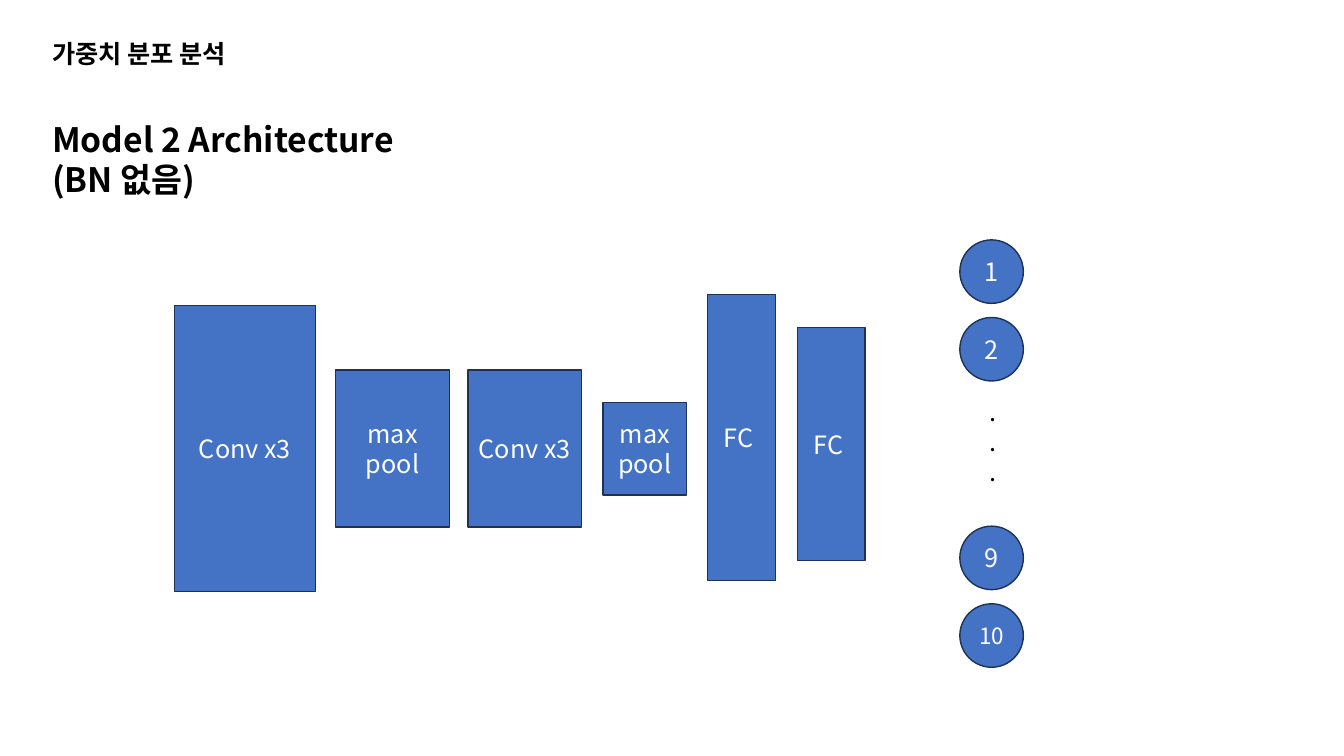
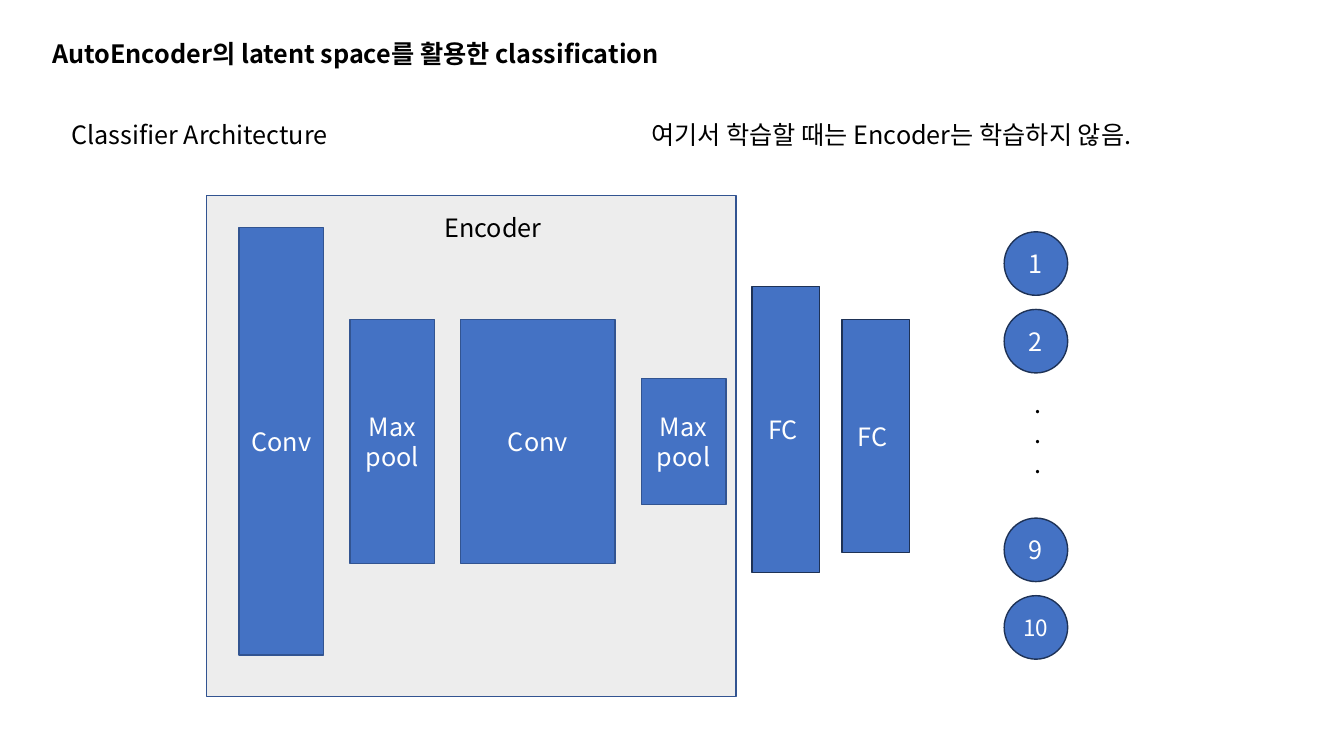
from lxml import etree
from pptx import Presentation
from pptx import util as u
from pptx.dml.color import RGBColor
from pptx.enum import shapes, text
from pptx.oxml import ns

FONT = "Noto Sans CJK KR"
BLACK = RGBColor(0x00, 0x00, 0x00)
WHITE = RGBColor(0xFF, 0xFF, 0xFF)
BLUE = RGBColor(0x44, 0x72, 0xC4)
NAVY = RGBColor(0x1E, 0x32, 0x56)
STEEL = RGBColor(0x32, 0x54, 0x91)
GREY = RGBColor(0xED, 0xED, 0xED)
RECT = shapes.MSO_SHAPE.RECTANGLE
OVAL = shapes.MSO_SHAPE.OVAL


def write(tf, lines, color, size=18, bold=False, align=None):
    """Fill a text frame with one paragraph per line."""
    for i, line in enumerate(lines):
        p = tf.add_paragraph() if i else tf.paragraphs[0]
        p.alignment = align
        r = p.add_run()
        r.text = line
        fmt = {"name": FONT, "size": u.Pt(size), "bold": bold}
        for key, value in fmt.items():
            setattr(r.font, key, value)
        r.font.color.rgb = color
        ea = etree.SubElement(r.font._element, ns.qn("a:ea"))
        ea.set("typeface", FONT)


def add_text(s, box, *lines, size=18, bold=False):
    """Add a wrapped black text box."""
    tf = s.shapes.add_textbox(*map(u.Inches, box)).text_frame
    tf.word_wrap = True
    tf.auto_size = text.MSO_AUTO_SIZE.SHAPE_TO_FIT_TEXT
    write(tf, lines, BLACK, size, bold)


def add_block(s, kind, box, label="", line=NAVY, fill=BLUE, size=18):
    """Add an outlined shape with a centred white label."""
    sp = s.shapes.add_shape(kind, *map(u.Inches, box))
    sp.shadow.inherit = False
    sp.fill.solid()
    sp.fill.fore_color.rgb = fill
    sp.line.color.rgb = line
    sp.line.width = u.Pt(1)
    if label:
        tf = sp.text_frame
        tf.word_wrap = True
        tf.vertical_anchor = text.MSO_ANCHOR.MIDDLE
        write(tf, [label], WHITE, size, align=text.PP_ALIGN.CENTER)


def add_title(s, title):
    """Place the slide title."""
    add_text(s, (0.42, 0.33, 9.79, 0.4), title, bold=True)


def add_layers(s, left, middle, layers, line):
    """Lay layers left to right, centred on one height, each after its gap."""
    for gap, label, width, height in layers:
        left += gap
        add_block(s, RECT, (left, middle - height / 2, width, height), label, line)
        left += width


def add_classifier(s, left, top):
    """Place the two FC layers and the column of output classes."""
    for x, y, height in ((0, 0.54, 2.84), (0.89, 0.87, 2.31)):
        add_block(s, RECT, (left + x, top + y, 0.67, height), "FC ")
    for label, y, size in (("1", 0, 18), ("2", 0.77, 18), ("9", 2.84, 18), ("10", 3.61, 16)):
        add_block(s, OVAL, (left + 2.5, top + y, 0.63, 0.63), label, size=size)
    add_text(s, (left + 2.7, top + 1.5, 0.63, 1.01), ".", ".", ".")


def add_encoder(s, left, top):
    """Place the grey encoder panel with its caption and layers."""
    add_block(s, RECT, (left, top, 5.25, 4.97), line=STEEL, fill=GREY)
    add_layers(s, left + 0.32, top + 2.44, [
        (0, "Conv", 0.84, 4.24),
        (0.26, "Max pool", 0.84, 2.42),
        (0.26, "Conv", 1.53, 2.42),
        (0.26, "Max pool", 0.84, 1.25),
    ], STEEL)
    add_text(s, (left + 2.26, top + 0.12, 1.39, 0.4), "Encoder")


def model_slide(s):
    """Build the slide on the model without batch normalisation."""
    add_title(s, "가중치 분포 분석")
    add_text(s, (0.42, 1.13, 4.3, 0.91), "Model 2 Architecture", "(BN 없음)", size=24, bold=True)
    add_layers(s, 1.73, 4.45, [
        (0, "Conv x3", 1.4, 2.84),
        (0.2, "max pool", 1.13, 1.56),
        (0.18, "Conv x3", 1.13, 1.56),
        (0.21, "max pool", 0.83, 0.92),
    ], NAVY)
    add_classifier(s, 7.02, 2.38)


def autoencoder_slide(s):
    """Build the slide on classifying from the latent space."""
    add_title(s, "AutoEncoder의 latent space를 활용한 classification")
    add_text(s, (0.61, 1.13, 5.7, 0.4), "Classifier Architecture")
    add_text(s, (6.36, 1.13, 5.52, 0.4), "여기서 학습할 때는 Encoder는 학습하지 않음.")
    add_encoder(s, 2.05, 1.94)
    add_classifier(s, 7.46, 2.3)


def main():
    """Build and save the presentation."""
    prs = Presentation()
    prs.slide_width, prs.slide_height = u.Inches(13.33), u.Inches(7.5)
    for build in (model_slide, autoencoder_slide):
        build(prs.slides.add_slide(prs.slide_layouts[6]))
    prs.save("out.pptx")


if __name__ == "__main__":
    main()
